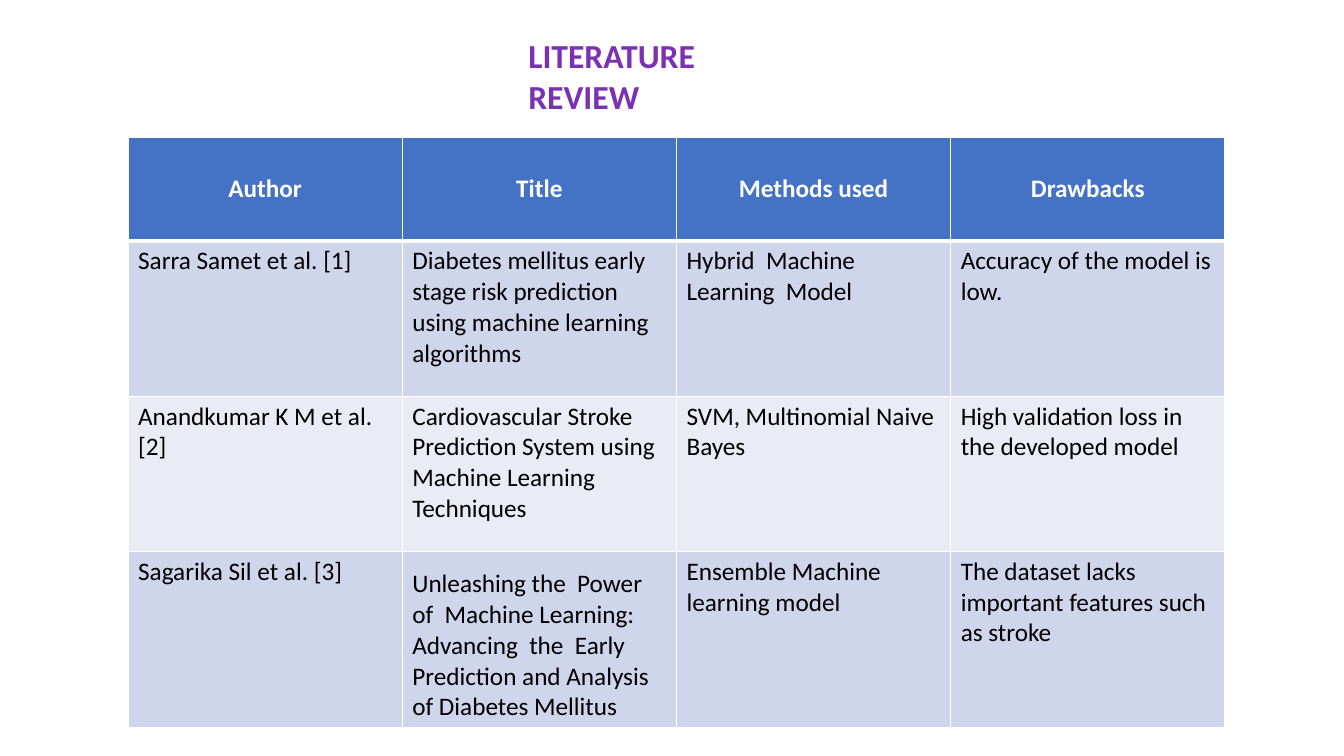
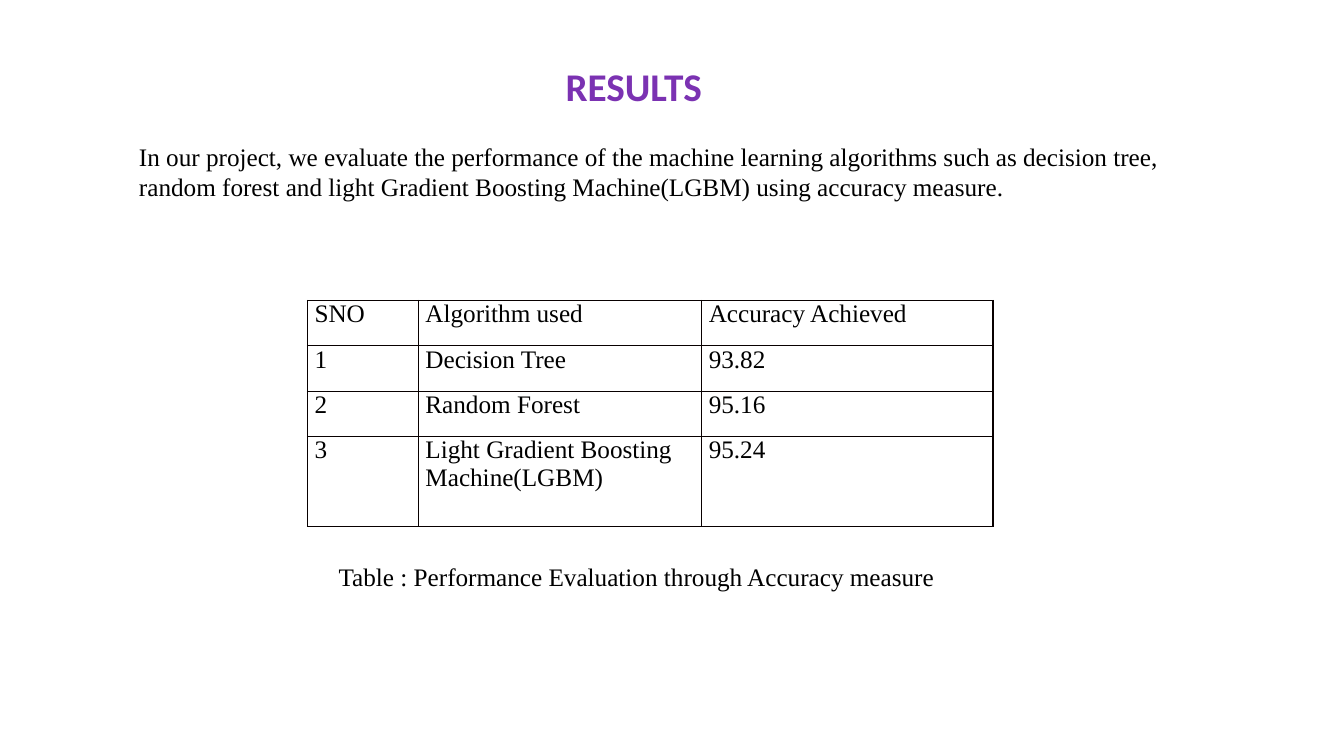
from lxml.etree import SubElement
from pptx import Presentation
from pptx.dml.color import RGBColor
from pptx.enum.text import MSO_ANCHOR, MSO_AUTO_SIZE, PP_ALIGN
from pptx.oxml.ns import qn
from pptx.util import Inches, Pt

PURPLE = RGBColor(0x7B, 0x32, 0xB2)
BLACK = RGBColor(0x00, 0x00, 0x00)
WHITE = RGBColor(0xFF, 0xFF, 0xFF)
GRID_BLACK = RGBColor(0x08, 0x00, 0x00)
HEADER_BLUE = RGBColor(0x44, 0x72, 0xC4)
BAND_DARK = RGBColor(0xCF, 0xD5, 0xEA)
BAND_LIGHT = RGBColor(0xE9, 0xEB, 0xF5)
SANS = "Calibri"
SERIF = "Times New Roman"
BODY_SIZE = 18
TITLE_ONLY = 5

REVIEW_ROWS = [
    ["Author", "Title", "Methods used", "Drawbacks"],
    ["Sarra Samet et al. [1]",
     "Diabetes mellitus early stage risk prediction using machine learning algorithms",
     "Hybrid  Machine Learning  Model",
     "Accuracy of the model is low."],
    ["Anandkumar K M et al. [2]",
     "Cardiovascular Stroke Prediction System using\nMachine Learning Techniques",
     "SVM, Multinomial Naive\nBayes",
     "High validation loss in the developed model"],
    ["Sagarika Sil et al. [3]",
     "Unleashing the  Power of  Machine Learning:\n"
     "Advancing  the  Early Prediction and Analysis of Diabetes Mellitus",
     "Ensemble Machine learning model",
     "The dataset lacks important features such as stroke"],
]
ACCURACY_ROWS = [
    ["SNO", "Algorithm used", "Accuracy Achieved"],
    ["1", "Decision Tree", "93.82"],
    ["2", "Random Forest", "95.16"],
    ["3", "Light Gradient Boosting Machine(LGBM)", "95.24"],
]


def format_text(frame, font_name, size, color, bold=False, align=PP_ALIGN.LEFT):
    """Give every paragraph and run of a text frame one style."""
    for paragraph in frame.paragraphs:
        paragraph.alignment = align
        for run in paragraph.runs:
            run.font.name = font_name
            run.font.size = Pt(size)
            run.font.bold = bold
            run.font.color.rgb = color


def place(shape, box):
    """Move a shape to a left, top, width, height box in inches."""
    shape.left, shape.top, shape.width, shape.height = map(Inches, box)


def add_titled_slide(deck, title, box, size, indent=0.1):
    """Add a title-only slide with a purple heading."""
    slide = deck.slides.add_slide(deck.slide_layouts[TITLE_ONLY])
    heading = slide.shapes.title
    place(heading, box)
    frame = heading.text_frame
    frame.text = title
    frame.word_wrap = True
    frame.auto_size = MSO_AUTO_SIZE.NONE
    frame.vertical_anchor = MSO_ANCHOR.TOP
    frame.margin_left = Inches(indent)
    format_text(frame, SANS, size, PURPLE, bold=True)
    return slide


def add_body_text(slide, text, box):
    """Add a wrapped serif text box."""
    frame = slide.shapes.add_textbox(*map(Inches, box)).text_frame
    frame.word_wrap = True
    frame.text = text
    format_text(frame, SERIF, BODY_SIZE, BLACK)


def set_borders(cell, color, top=1, bottom=1):
    """Draw the four cell borders, with widths in points."""
    properties = cell._tc.get_or_add_tcPr()
    for side, width in (("L", 1), ("R", 1), ("T", top), ("B", bottom)):
        line = SubElement(properties, qn(f"a:ln{side}"), w=str(Pt(width)))
        SubElement(SubElement(line, qn("a:solidFill")), qn("a:srgbClr"), val=str(color))


def add_grid(slide, rows, left, top, widths, heights):
    """Add an unbanded table holding the given rows of text."""
    box = map(Inches, (left, top, sum(widths), sum(heights)))
    table = slide.shapes.add_table(len(rows), len(widths), *box).table
    table.first_row = False
    table.horz_banding = False
    for column, width in zip(table.columns, widths):
        column.width = Inches(width)
    for row, height, texts in zip(table.rows, heights, rows):
        row.height = Inches(height)
        for cell, text in zip(row.cells, texts):
            cell.text_frame.text = text
    return table


def add_review_table(slide, left, top):
    """Add the banded table of related papers."""
    table = add_grid(slide, REVIEW_ROWS, left, top, [2.72] * 4, [1.03, 1.54, 1.54, 1.75])
    for index, row in enumerate(table.rows):
        header = index == 0
        band = BAND_DARK if index % 2 else BAND_LIGHT
        for cell in row.cells:
            set_borders(cell, WHITE, top=3 if index == 1 else 1, bottom=3 if header else 1)
            cell.fill.solid()
            cell.fill.fore_color.rgb = HEADER_BLUE if header else band
            if header:
                cell.vertical_anchor = MSO_ANCHOR.MIDDLE
                format_text(cell.text_frame, SANS, BODY_SIZE, WHITE, True, PP_ALIGN.CENTER)
            else:
                format_text(cell.text_frame, SANS, BODY_SIZE, BLACK)
    table.cell(3, 1).vertical_anchor = MSO_ANCHOR.BOTTOM


def add_accuracy_table(slide, left, top):
    """Add the plain ruled table of accuracies."""
    table = add_grid(slide, ACCURACY_ROWS, left, top, [1.1, 2.81, 2.89], [0.45, 0.45, 0.45, 0.89])
    for cell in table.iter_cells():
        set_borders(cell, GRID_BLACK)
        cell.fill.background()
        cell.margin_left = cell.margin_right = Inches(0.07)
        cell.margin_top = cell.margin_bottom = 0
        format_text(cell.text_frame, SERIF, BODY_SIZE, BLACK)


def build_review_slide(deck):
    """Build the literature review slide."""
    slide = add_titled_slide(deck, "LITERATURE REVIEW", (5.14, 0.3, 2.95, 0.5), 24)
    add_review_table(slide, 1.27, 1.36)


def build_results_slide(deck):
    """Build the results slide."""
    slide = add_titled_slide(deck, "RESULTS", (2.97, 0.57, 7.69, 0.79), 28, indent=2.64)
    add_body_text(
        slide,
        "In our project, we evaluate the performance of the machine learning algorithms "
        "such as decision tree, random forest and light Gradient Boosting Machine(LGBM) "
        "using accuracy measure.",
        (1.28, 1.35, 10.81, 0.71))
    add_accuracy_table(slide, 3.05, 2.98)
    add_body_text(slide, "Table : Performance Evaluation through Accuracy measure",
                  (3.26, 5.52, 6.35, 0.78))


def main():
    """Build and save the deck."""
    deck = Presentation()
    deck.slide_width = Inches(13.33)
    deck.slide_height = Inches(7.5)
    build_review_slide(deck)
    build_results_slide(deck)
    deck.save("out.pptx")


if __name__ == "__main__":
    main()
